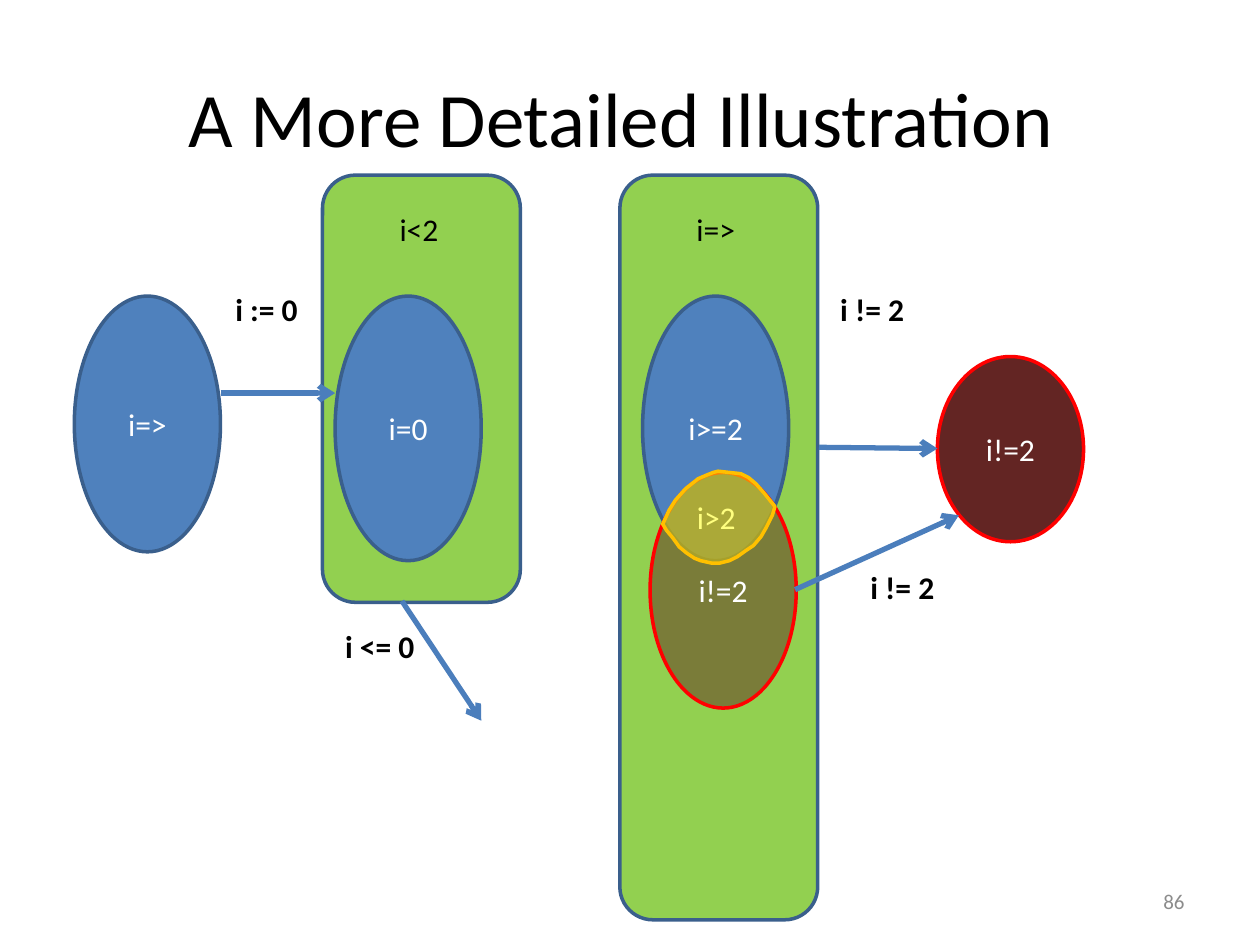
"""Build the slide of program states and the steps that link them."""
from lxml import etree
from pptx import Presentation
from pptx.dml.color import RGBColor
from pptx.enum.shapes import MSO_CONNECTOR, MSO_SHAPE
from pptx.enum.text import MSO_ANCHOR, PP_ALIGN
from pptx.oxml.ns import qn
from pptx.util import Inches, Pt

ROUND, OVAL = MSO_SHAPE.ROUNDED_RECTANGLE, MSO_SHAPE.OVAL
LINE = MSO_CONNECTOR.STRAIGHT
LEFT, MID, RIGHT = PP_ALIGN.LEFT, PP_ALIGN.CENTER, PP_ALIGN.RIGHT
TOP, CENTRE = MSO_ANCHOR.TOP, MSO_ANCHOR.MIDDLE

THEME = {
    "font": "Calibri", "title": 44, "body": 18, "small": 12,
    "edge": 2, "arrow": 3,
    "black": "000000", "white": "FFFFFF", "grey": "8C8C8C",
    "green": "92D050", "blue": "4F81BD", "navy": "3A5F8C",
    "link": "4B7EBC", "dark": "632523", "red": "FF0000",
    "yellow": "FFFF00", "gold": "FFC000",
}

TITLE = "A More Detailed Illustration "
PANEL_W, OVAL_W, LABEL_H = 1.57, 1.16, 0.4
PANELS = [(4.92, 1.39, 5.91), (2.56, 1.39, 3.39)]
STATES = [
    ("i=>", 0.59, 2.35, 2.03, "blue", "navy", 100),
    ("i=0", 2.66, 2.35, 2.1, "blue", "navy", 100),
    ("i>=2", 5.1, 2.35, 2.1, "blue", "navy", 100),
    ("i!=2", 7.44, 2.83, 1.47, "dark", "red", 100),
    ("i!=2", 5.16, 3.75, 1.87, "dark", "red", 49),
]
HEADS = [("i=>", 5.39, 1.62, 0.58, "black"), ("i<2", 3.07, 1.62, 0.51, "black"),
         ("i>2", 5.43, 3.9, 0.51, "white")]
STEPS = [("i := 0", 1.77, 2.25, 0.7), ("i <= 0", 2.64, 4.93, 0.76),
         ("i != 2", 6.57, 2.25, 0.72), ("i != 2", 6.81, 4.46, 0.72)]
ARROWS = [(1.75, 3.12, 2.66, 3.12), (3.19, 4.77, 3.82, 5.72),
          (6.5, 3.55, 7.44, 3.56), (6.31, 4.68, 7.61, 4.09)]
LENS = [
    (5.26, 4.16), (5.31, 4.05), (5.36, 3.97), (5.44, 3.88), (5.54, 3.8),
    (5.61, 3.77), (5.66, 3.75), (5.7, 3.74), (5.79, 3.75), (5.88, 3.76),
    (5.94, 3.79), (6, 3.84), (6.07, 3.92), (6.15, 4.02), (6.13, 4.09),
    (6.08, 4.19), (6.04, 4.26), (5.98, 4.33), (5.92, 4.37), (5.85, 4.42),
    (5.79, 4.45), (5.71, 4.47), (5.65, 4.47), (5.56, 4.45), (5.51, 4.43),
    (5.45, 4.39), (5.39, 4.34), (5.34, 4.27), (5.29, 4.21),
]
NUMBER = ("86", 7.17, 6.95, 2.33)


def tint(name):
    return RGBColor.from_string(THEME[name])


def write(shape, text, size="body", color="black", bold=False,
          align=MID, anchor=TOP, wrap=False):
    frame = shape.text_frame
    frame.word_wrap, frame.vertical_anchor = wrap, anchor
    para = frame.paragraphs[0]
    para.alignment = align
    run = para.add_run()
    run.text = text
    font = run.font
    font.name, font.size, font.bold = THEME["font"], Pt(THEME[size]), bold
    font.color.rgb = tint(color)


def label(shapes, text, x, y, w, **form):
    box = shapes.add_textbox(*map(Inches, (x, y, w, LABEL_H)))
    write(box, text, **form)


def paint(shape, fill, edge, alpha=100):
    shape.shadow.inherit = False
    shape.fill.solid()
    shape.fill.fore_color.rgb = tint(fill)
    shape.line.color.rgb = tint(edge)
    shape.line.width = Pt(THEME["edge"])
    if alpha < 100:
        color = shape._element.spPr.find(qn("a:solidFill"))[0]
        etree.SubElement(color, qn("a:alpha"), val=str(alpha * 1000))


def arrow(shapes, *ends):
    link = shapes.add_connector(LINE, *map(Inches, ends))
    link.line.color.rgb = tint("link")
    link.line.width = Pt(THEME["arrow"])
    props = link._element.spPr
    etree.SubElement(props.find(qn("a:ln")), qn("a:tailEnd"), type="arrow")
    etree.SubElement(props, qn("a:effectLst"))


def main():
    deck = Presentation()
    deck.slide_width, deck.slide_height = Inches(10), Inches(7.5)
    shapes = deck.slides.add_slide(deck.slide_layouts[5]).shapes

    title = shapes.title
    title.left, title.top, title.width, title.height = map(Inches, (0.5, 0.3, 9, 1.25))
    write(title, TITLE, size="title", anchor=CENTRE, wrap=True)

    for x, y, h in PANELS:
        panel = shapes.add_shape(ROUND, *map(Inches, (x, y, PANEL_W, h)))
        paint(panel, "green", "navy")
    for text, x, y, h, fill, edge, alpha in STATES:
        state = shapes.add_shape(OVAL, *map(Inches, (x, y, OVAL_W, h)))
        paint(state, fill, edge, alpha)
        write(state, text, color="white", anchor=CENTRE, wrap=True)
    for ends in ARROWS:
        arrow(shapes, *ends)
    for *spot, color in HEADS:
        label(shapes, *spot, color=color)
    for step in STEPS:
        label(shapes, *step, bold=True, align=LEFT)

    first, *rest = [(Inches(x), Inches(y)) for x, y in LENS]
    pen = shapes.build_freeform(*first)
    pen.add_line_segments(rest, close=True)
    paint(pen.convert_to_shape(), "yellow", "gold", 50)

    label(shapes, *NUMBER, size="small", color="grey", align=RIGHT,
          anchor=CENTRE, wrap=True)
    deck.save("out.pptx")


if __name__ == "__main__":
    main()
